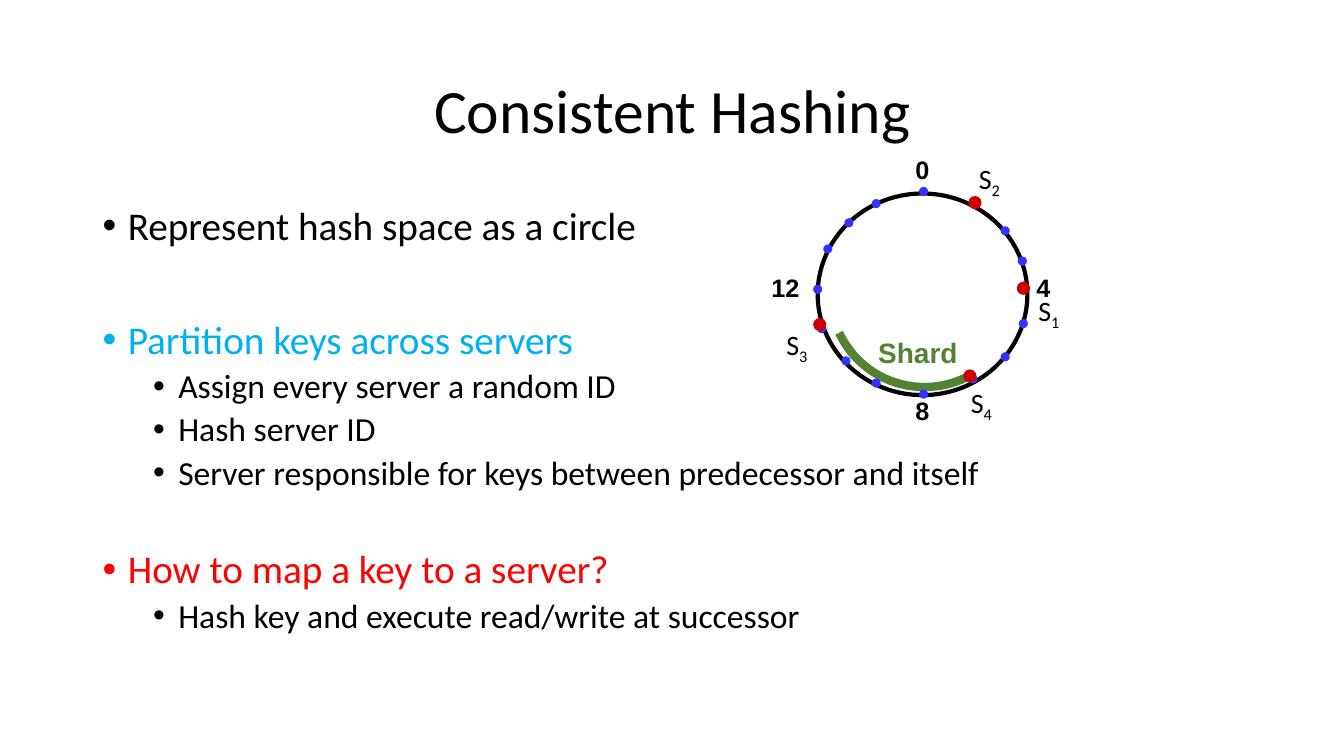
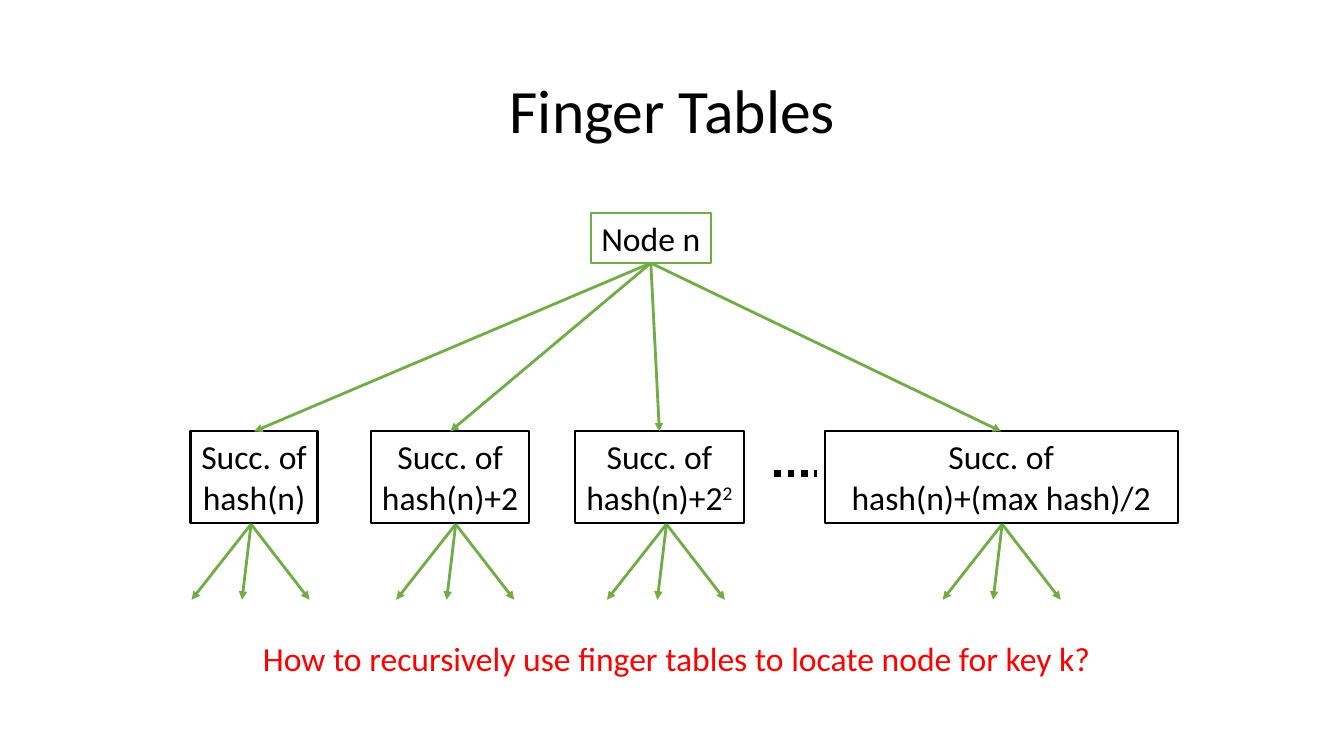
"""Build two slides on consistent hashing and finger tables."""
from lxml import etree
from pptx import Presentation
from pptx.dml.color import RGBColor
from pptx.enum.dml import MSO_LINE
from pptx.enum.shapes import MSO_CONNECTOR, MSO_SHAPE
from pptx.enum.text import MSO_ANCHOR, MSO_AUTO_SIZE, PP_ALIGN
from pptx.oxml.ns import qn
from pptx.util import Inches, Pt

STRAIGHT = MSO_CONNECTOR.STRAIGHT
OVAL, ARC = MSO_SHAPE.OVAL, MSO_SHAPE.ARC
LEFT, CENTER = PP_ALIGN.LEFT, PP_ALIGN.CENTER
MIDDLE = MSO_ANCHOR.MIDDLE
FIT_SHAPE, NO_FIT = MSO_AUTO_SIZE.SHAPE_TO_FIT_TEXT, MSO_AUTO_SIZE.NONE
ROUND_DOT = MSO_LINE.ROUND_DOT
TOP_SIDE, BOTTOM_SIDE = 0, 2
TITLE_ONLY = 5

COLORS = {name: RGBColor.from_string(value) for name, value in {
    "black": "000000",
    "sky": "00B0F0",
    "red": "FF0000",
    "key": "3333FF",
    "server": "CC0000",
    "shard": "548235",
    "arrow": "70AD47",
}.items()}


def add_text(slide, box, lines, size, color="black", font="Calibri",
             bold=False, align=LEFT, baseline=0, inset=True, wrap=False):
    """Add a text box; each line is a (text, raised or lowered text) pair."""
    shape = slide.shapes.add_textbox(*map(Inches, box))
    frame = shape.text_frame
    frame.word_wrap = wrap
    frame.auto_size = FIT_SHAPE
    if not inset:
        frame.margin_left = frame.margin_right = 0
        frame.margin_top = frame.margin_bottom = 0
    for index, (text, script) in enumerate(lines):
        paragraph = frame.add_paragraph() if index else frame.paragraphs[0]
        paragraph.alignment = align
        paragraph.font.name = font
        paragraph.font.size = Pt(size)
        paragraph.font.bold = bold
        paragraph.font.color.rgb = COLORS[color]
        paragraph.add_run().text = text
        if script:
            run = paragraph.add_run()
            run.text = script
            run.font._element.set("baseline", str(baseline))
    return shape


def add_line(slide, start, end, color="arrow", width=2, arrow=True):
    """Add a straight line, with an arrowhead at its end if asked."""
    line = slide.shapes.add_connector(STRAIGHT, *map(Inches, start + end))
    line.line.color.rgb = COLORS[color]
    line.line.width = Pt(width)
    if arrow:
        etree.SubElement(line.get_or_add_ln(), qn("a:tailEnd"), type="triangle")
    etree.SubElement(line._element.spPr, qn("a:effectLst"))
    return line


presentation = Presentation()
presentation.slide_width = Inches(13.33)
presentation.slide_height = Inches(7.5)

slides = []
for title in ("Consistent Hashing", "Finger Tables"):
    slide = presentation.slides.add_slide(presentation.slide_layouts[TITLE_ONLY])
    shape = slide.shapes.title
    shape.left, shape.top = Inches(0.92), Inches(0.4)
    shape.width, shape.height = Inches(11.5), Inches(1.45)
    shape.text_frame.text = title
    shape.text_frame.auto_size = NO_FIT
    shape.text_frame.vertical_anchor = MIDDLE
    paragraph = shape.text_frame.paragraphs[0]
    paragraph.alignment = CENTER
    paragraph.line_spacing = 0.9
    paragraph.font.name = "Calibri"
    paragraph.font.size = Pt(44)
    paragraph.font.color.rgb = COLORS["black"]
    slides.append(slide)
hashing_slide, finger_slide = slides

bullets = [
    (0, "Represent hash space as a circle", "black", 10),
    (0, "Partition keys across servers", "sky", 51),
    (1, "Assign every server a random ID", "black", 5),
    (1, "Hash server ID", "black", 5),
    (1, "Server responsible for keys between predecessor and itself", "black", 5),
    (0, "How to map a key to a server?", "red", 41),
    (1, "Hash key and execute read/write at successor", "black", 5),
]
body = add_text(hashing_slide, (0.92, 2, 11.5, 4.76),
                [(text, "") for _, text, _, _ in bullets], 28, wrap=True)
body.text_frame.auto_size = NO_FIT
for paragraph, (level, _, color, space) in zip(body.text_frame.paragraphs, bullets):
    paragraph.level = level
    paragraph.line_spacing = 0.9
    paragraph.space_before = Pt(space)
    paragraph.font.size = Pt(28 - 4 * level)
    paragraph.font.color.rgb = COLORS[color]
    properties = paragraph._p.get_or_add_pPr()
    properties.set("marL", str(Inches(0.25 + 0.5 * level)))
    properties.set("indent", str(Inches(-0.25)))
    bullet_font = etree.Element(qn("a:buFont"), typeface="Arial")
    bullet = etree.Element(qn("a:buChar"), char="•")
    default_font = properties.find(qn("a:defRPr"))
    default_font.addprevious(bullet_font)
    default_font.addprevious(bullet)

for kind, box, color, width in (
    (OVAL, (8.11, 1.92, 2.08, 2), "black", 3),
    (ARC, (8.24, 2, 1.86, 1.84), "shard", 6),
):
    shape = hashing_slide.shapes.add_shape(kind, *map(Inches, box))
    shape.shadow.inherit = False
    shape.fill.background()
    shape.line.color.rgb = COLORS[color]
    shape.line.width = Pt(width)
    if kind == ARC:
        shape.adjustments[0] = 37.91
        shape.adjustments[1] = 93.46

key_centers = [
    (9.16, 1.9), (9.65, 2.01), (9.97, 2.29), (10.14, 2.59),
    (10.15, 2.84), (10.15, 3.21), (9.97, 3.54), (9.65, 3.76),
    (9.16, 3.91), (8.69, 3.8), (8.39, 3.58), (8.15, 3.26),
    (8.11, 2.87), (8.21, 2.47), (8.42, 2.21), (8.69, 2.02),
]
server_centers = [(10.15, 2.86), (9.62, 3.73), (8.13, 3.22), (9.67, 2.01)]
for centers, diameter, color in (
    (key_centers, 0.08, "key"),
    (server_centers, 0.12, "server"),
):
    for x, y in centers:
        dot = hashing_slide.shapes.add_shape(
            OVAL, Inches(x - diameter / 2), Inches(y - diameter / 2),
            Inches(diameter), Inches(diameter))
        dot.shadow.inherit = False
        dot.fill.solid()
        dot.fill.fore_color.rgb = COLORS[color]
        dot.line.color.rgb = COLORS[color]
        dot.line.width = Pt(0.75)

for text, box, size, color in (
    ("0", (9.08, 1.53, 0.17, 0.3), 18, "black"),
    ("4", (10.28, 2.7, 0.17, 0.3), 18, "black"),
    ("8", (9.08, 3.92, 0.17, 0.3), 18, "black"),
    ("12", (7.65, 2.7, 0.46, 0.3), 18, "black"),
    ("Shard", (8.71, 3.33, 1, 0.34), 20, "shard"),
):
    add_text(hashing_slide, box, [(text, "")], size, color, "Arial",
             bold=True, inset=False, wrap=True)

for number, left, top in (
    ("1", 10.2, 2.86), ("2", 9.61, 1.55), ("3", 7.7, 3.2), ("4", 9.53, 3.78),
):
    add_text(hashing_slide, (left, top, 0.49, 0.44), [("S", number)], 20,
             baseline=-25000)

node = add_text(finger_slide, (5.86, 2.11, 1.19, 0.5), [("Node n", "")], 24,
                align=CENTER)
node.line.color.rgb = COLORS["arrow"]
node.line.width = Pt(1.5)

for left, width, text, power, fan_x in (
    (1.89, 1.26, "hash(n)", "", 2.49),
    (3.68, 1.57, "hash(n)+2", "", 4.52),
    (5.7, 1.68, "hash(n)+2", "2", 6.61),
    (8.18, 3.5, "hash(n)+(max hash)/2", "", 9.94),
):
    successor = add_text(finger_slide, (left, 4.28, width, 0.91),
                         [("Succ. of", ""), (text, power)], 24,
                         align=CENTER, baseline=30000)
    successor.line.color.rgb = COLORS["black"]
    successor.line.width = Pt(1.5)
    arrow = add_line(finger_slide, (6.45, 2.61), (left + width / 2, 4.28))
    arrow.begin_connect(node, BOTTOM_SIDE)
    arrow.end_connect(successor, TOP_SIDE)
    for offset in (0.58, -0.09, -0.59):
        add_line(finger_slide, (fan_x, 5.2), (fan_x + offset, 5.95))

ellipsis = add_line(finger_slide, (7.68, 4.7), (8.1, 4.7), "black", 4.75, arrow=False)
ellipsis.line.dash_style = ROUND_DOT

add_text(finger_slide, (2.07, 6.28, 9.28, 0.5),
         [("How to recursively use finger tables to locate node for key k?", "")],
         24, "red", align=CENTER)

presentation.save("out.pptx")
